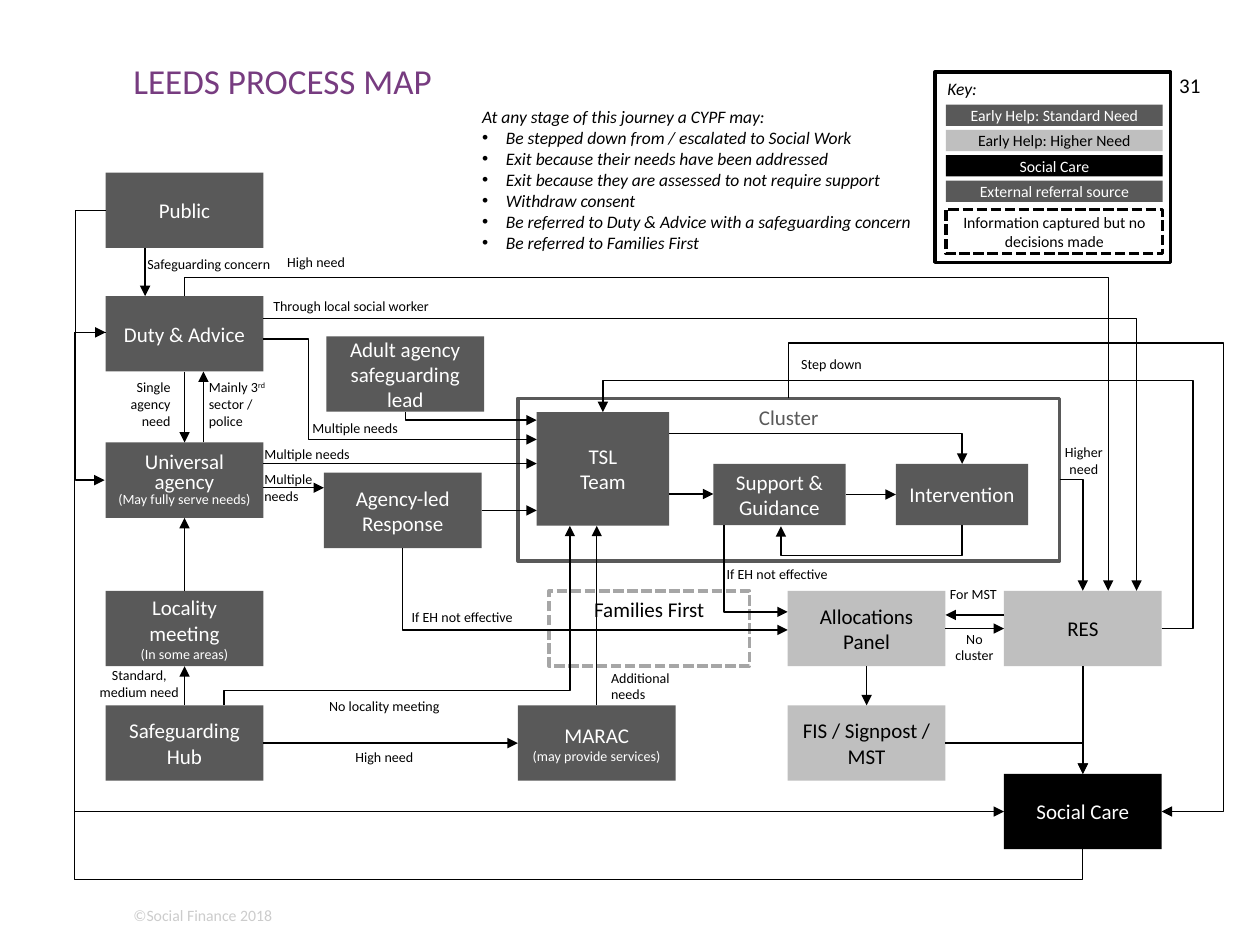
from dataclasses import dataclass
from lxml.etree import SubElement
from pptx import Presentation
from pptx.dml.color import RGBColor
from pptx.enum.dml import MSO_LINE
from pptx.enum.shapes import MSO_CONNECTOR, MSO_SHAPE
from pptx.enum.text import MSO_ANCHOR, PP_ALIGN
from pptx.oxml.ns import qn
from pptx.util import Cm, Pt


@dataclass(frozen=True)
class Theme:
    font: str = "Calibri"
    black: str = "000000"
    white: str = "FFFFFF"
    dark: str = "595959"
    light: str = "BFBFBF"
    dash: str = "A6A6A6"
    purple: str = "773C80"
    faint: str = "CCCCCC"
    head: int = 20
    body: int = 12
    note: int = 10
    key: int = 9
    small: int = 8
    rule: float = 2
    thin: float = 0.75


T = Theme()
LEFT, MID, RIGHT = PP_ALIGN.LEFT, PP_ALIGN.CENTER, PP_ALIGN.RIGHT
TOP, CENTRE = MSO_ANCHOR.TOP, MSO_ANCHOR.MIDDLE


def rgb(code):
    return RGBColor.from_string(code)


def style(para, size, color, italic=None):
    for run in para.runs:
        font = run.font
        font.name, font.size, font.italic = T.font, Pt(size), italic
        font.color.rgb = rgb(color)


def write(shape, text, size, color, align=MID, anchor=CENTRE, pad=None, italic=None):
    frame = shape.text_frame
    frame.text = text
    frame.word_wrap = True
    frame.vertical_anchor = anchor
    if pad is not None:
        frame.margin_left = frame.margin_right = Cm(pad)
    if pad == 0:
        frame.margin_top = frame.margin_bottom = 0
    for para in frame.paragraphs:
        para.alignment = align
        style(para, size, color, italic)
    return frame


def label(slide, box, text, size, color=T.black, **kw):
    shape = slide.shapes.add_textbox(*map(Cm, box))
    return write(shape, text, size, color, **kw)


def block(slide, box, text, size=T.body, fill=None, line=None, dash=False, color=None, **kw):
    shape = slide.shapes.add_shape(MSO_SHAPE.RECTANGLE, *map(Cm, box))
    shape.shadow.inherit = False
    if fill:
        shape.fill.solid()
        shape.fill.fore_color.rgb = rgb(fill)
    else:
        shape.fill.background()
    if line:
        shape.line.color.rgb = rgb(line)
        shape.line.width = Pt(T.rule)
        if dash:
            shape.line.dash_style = MSO_LINE.SQUARE_DOT
    else:
        shape.line.fill.background()
    ink = color or (T.white if fill in (T.dark, T.black) else T.black)
    return write(shape, text, size, ink, **kw)


def point(box, side, part):
    """Spot on a side of the box, part of the way along it."""
    x, y, w, h = box
    if side in "lr":
        return x + w * (side == "r"), y + h * part
    return x + w * part, y + h * (side == "b")


def link(slide, start, end, flat, lanes):
    """Arrow from start to end; lanes are the free positions of its bends."""
    (x, y), (u, v) = start, end
    if lanes is None:
        u, v = (u, y) if flat else (x, v)
        line = slide.shapes.add_connector(MSO_CONNECTOR.STRAIGHT, *map(Cm, (x, y, u, v)))
    else:
        dx, dy = u - x or -0.02, v - y or 0.02
        ends, turn = (x, y, x + dx, y + dy), 0
        if not flat:  # a vertical start needs a quarter turn about the centre
            cx, cy = x + dx / 2, y + dy / 2
            sign, turn = (-1, 270) if dx > 0 else (1, 90)
            a, b = sign * dy / 2, -sign * dx / 2
            ends = (cx - a, cy - b, cx + a, cy + b)
        line = slide.shapes.add_connector(MSO_CONNECTOR.ELBOW, *map(Cm, ends))
        props = line._element.spPr
        if turn:
            props.find(qn("a:xfrm")).set("rot", str(turn * 60000))
        geom = props.find(qn("a:prstGeom"))
        geom.set("prst", f"bentConnector{2 + len(lanes)}")
        guides = geom.find(qn("a:avLst"))
        if guides is None:
            guides = SubElement(geom, qn("a:avLst"))
        axes = [(x, dx), (y, dy)] if flat else [(y, dy), (x, dx)]
        for i, (lane, (base, span)) in enumerate(zip(lanes, axes), 1):
            ratio = round((lane - base) / span * 100000)
            SubElement(guides, qn("a:gd"), name=f"adj{i}", fmla=f"val {ratio}")
    line.line.color.rgb = rgb(T.black)
    line.line.width = Pt(T.thin)
    SubElement(line.line._get_or_add_ln(), qn("a:tailEnd"), type="triangle")
    SubElement(line._element.spPr, qn("a:effectLst"))


# Process map: name -> left, top, text, small second line
W, H = 3.18, 1.52
NODES = {
    "hub": (0.63, 10.74, "Safeguarding Hub", ""),
    "marac": (8.94, 10.74, "MARAC", "(may provide services)"),
    "duty": (0.63, 2.49, "Duty & Advice", ""),
    "agency": (5.03, 6.05, "Agency-led Response", ""),
    "local": (0.63, 8.43, "Locality meeting", "(In some areas)"),
    "panel": (14.38, 8.43, "Allocations Panel", ""),
    "fis": (14.38, 10.74, "FIS / Signpost / MST", ""),
    "uni": (0.63, 5.44, "Universal agency", "(May fully serve needs)"),
    "res": (18.74, 8.43, "RES", ""),
    "adult": (5.08, 3.3, "Adult agency safeguarding lead", ""),
    "public": (0.63, 0, "Public", ""),
    "care": (18.74, 12.12, "Social Care", ""),
}
FILLS = {"panel": T.light, "fis": T.light, "res": T.light, "care": T.black}
TEAMS = {
    "tsl": (9.32, 4.83, 2.67, 2.29, "TSL\nTeam"),
    "guide": (12.88, 5.87, 2.67, 1.24, "Support & Guidance"),
    "act": (16.56, 5.87, 2.67, 1.24, "Intervention"),
}
# From, side, part along it, to, side, part, lanes (None for a straight arrow)
LINKS = [
    ("duty", "b", 0.5, "uni", "t", 0.5, None), ("uni", "r", 0.28, "tsl", "l", 0.5, None),
    ("local", "t", 0.5, "uni", "b", 0.5, None), ("hub", "t", 0.5, "local", "b", 0.5, None),
    ("hub", "r", 0.5, "marac", "l", 0.5, None), ("panel", "b", 0.5, "fis", "t", 0.5, None),
    ("panel", "r", 0.5, "res", "l", 0.5, None), ("public", "b", 0.25, "duty", "t", 0.25, None),
    ("uni", "t", 0.62, "duty", "b", 0.62, None), ("tsl", "r", 0.72, "guide", "l", 0.5, None),
    ("guide", "r", 0.5, "act", "l", 0.5, None), ("res", "l", 0.32, "panel", "r", 0.32, None),
    ("uni", "r", 0.6, "agency", "l", 0.2, None), ("marac", "t", 0.5, "tsl", "b", 0.46, None),
    ("agency", "r", 0.5, "tsl", "l", 0.87, None), ("res", "b", 0.5, "care", "t", 0.5, None),
    ("tsl", "r", 0.19, "act", "t", 0.5, ()), ("act", "b", 0.5, "guide", "b", 0.51, (7.72,)),
    ("duty", "t", 0.5, "res", "t", 0.66, (2.11,)), ("cluster", "r", 0.5, "res", "t", 0.5, ()),
    ("duty", "r", 0.57, "tsl", "l", 0.24, (4.72,)), ("adult", "b", 0.5, "tsl", "l", 0.07, ()),
    ("agency", "b", 0.5, "panel", "l", 0.52, ()), ("hub", "t", 0.75, "tsl", "b", 0.25, (10.44,)),
    ("guide", "b", 0.08, "panel", "l", 0.28, ()), ("res", "r", 0.5, "tsl", "t", 0.5, (22.55, 4.19)),
    ("public", "l", 0.5, "uni", "l", 0.5, (0.02,)), ("duty", "r", 0.3, "res", "t", 0.84, ()),
    ("duty", "l", 0.48, "care", "l", 0.5, (0,)), ("cluster", "t", 0.5, "care", "r", 0.5, (3.43, 23.16)),
    ("care", "b", 0.5, "duty", "l", 0.48, (14.25, 0)), ("fis", "r", 0.5, "care", "t", 0.5, ()),
]
LABELS = [
    (4.14, 11.53, 4.22, MID, "High need"), (4.14, 10.52, 4.22, MID, "No locality meeting"),
    (0.23, 10.06, 2.16, MID, "Standard, medium need"), (6.55, 8.71, 4.22, LEFT, "If EH not effective"),
    (12.9, 7.85, 4.22, LEFT, "If EH not effective"), (14.4, 3.62, 4.22, LEFT, "Step down"),
    (0.46, 4.42, 1.73, RIGHT, "Single agency need"), (17.42, 9.32, 1.45, MID, "No cluster"),
    (17.4, 8.25, 1.45, MID, "For MST"), (19.46, 5.56, 1.78, MID, "Higher need"),
    (4.04, 1.57, 3.07, LEFT, "High need"), (3.58, 5.44, 2.41, LEFT, "Multiple needs"),
    (3.58, 6.1, 1.55, LEFT, "Multiple needs"), (1.22, 1.6, 3.07, LEFT, "Safeguarding concern"),
    (4.55, 4.9, 2.41, LEFT, "Multiple needs"), (10.57, 10.11, 2.16, LEFT, "Additional needs"),
    (3.76, 2.45, 4.22, LEFT, "Through local social worker"),
]


def flow(slide, left, top):
    def place(x, y, w, h):
        return left + x, top + y, w, h

    # Outlined groups
    spots = {"cluster": place(8.94, 4.55, 10.92, 3.28)}
    block(slide, place(9.57, 8.43, 4.04, H), "Families First", line=T.dash, dash=True, anchor=TOP)
    block(slide, spots["cluster"], "Cluster", line=T.dark, color=T.dark, anchor=TOP)
    # Steps
    for name, (x, y, text, extra) in NODES.items():
        spots[name] = place(x, y, W, H)
        whole = f"{text}\n{extra}" if extra else text
        frame = block(slide, spots[name], whole, fill=FILLS.get(name, T.dark))
        if extra:
            frame.paragraphs[1].runs[0].font.size = Pt(T.small)
        if name == "uni":
            for para in frame.paragraphs:
                para.line_spacing = 0.8
    for name, (x, y, w, h, text) in TEAMS.items():
        spots[name] = place(x, y, w, h)
        block(slide, spots[name], text, fill=T.dark, pad=0.1)
    # Arrows
    for one, side, part, two, edge, share, lanes in LINKS:
        if lanes:
            shift = (left, top) if side in "lr" else (top, left)
            lanes = [lane + move for lane, move in zip(lanes, shift)]
        start, end = point(spots[one], side, part), point(spots[two], edge, share)
        link(slide, start, end, side in "lr", lanes)
    # Arrow labels
    for x, y, w, align, text in LABELS:
        label(slide, place(x, y, w, 0.48), text, T.small, align=align)
    frame = label(slide, place(2.46, 4.42, 1.73, 0.48), "Mainly 3", T.small, align=LEFT)
    para = frame.paragraphs[0]
    for text in ("rd", " sector / police"):
        para.add_run().text = text
    style(para, T.small, T.black)
    para.runs[1].font._element.set("baseline", "30000")


def notes(slide, box):
    lines = ["At any stage of this journey a CYPF may:",
             "Be stepped down from / escalated to Social Work",
             "Exit because their needs have been addressed",
             "Exit because they are assessed to not require support", "Withdraw consent",
             "Be referred to Duty & Advice with a safeguarding concern", "Be referred to Families First"]
    frame = label(slide, box, "\n".join(lines), T.note, align=LEFT, italic=True)
    for para in frame.paragraphs[1:]:
        props = para._p.get_or_add_pPr()
        props.set("marL", str(Cm(0.48)))
        props.set("indent", str(-Cm(0.48)))
        SubElement(props, qn("a:buFont"), typeface="Arial")
        SubElement(props, qn("a:buChar"), char="•")


def legend(slide, box):
    x, y = box[:2]
    block(slide, box, "Key:", T.note, T.white, T.black, align=LEFT, anchor=TOP, italic=True)
    bars = [("Early Help: Standard Need", T.dark), ("Early Help: Higher Need", T.light),
            ("Social Care", T.black), ("External referral source", T.dark)]
    for i, (text, fill) in enumerate(bars):
        block(slide, (x + 0.22, y + 0.66 + 0.51 * i, 4.37, 0.43), text, T.key, fill)
    block(slide, (x + 0.22, y + 2.77, 4.37, 0.89), "Information captured but no decisions made",
          T.key, T.white, T.black, dash=True)


def header(slide, box):
    title = slide.shapes.title
    title.left, title.top, title.width, title.height = map(Cm, box)
    write(title, "LEEDS PROCESS MAP", T.head, T.purple, LEFT, TOP, 0)
    label(slide, (box[0] + 20.8, box[1] + 0.28, 0.71, 1.02), "31", T.body,
          align=RIGHT, anchor=TOP, pad=0)


def footer(slide, box):
    label(slide, box, "©Social Finance 2018", T.key, T.faint, align=LEFT, anchor=TOP, pad=0)


def main():
    deck = Presentation()
    deck.slide_width, deck.slide_height = Cm(25.4), Cm(19.05)
    slide = deck.slides.add_slide(deck.slide_layouts[5])
    footer(slide, (2.69, 18.26, 21.44, 0.38))
    header(slide, (2.69, 1.19, 20.27, 1.88))
    flow(slide, 1.5, 3.48)
    notes(slide, (9.47, 2.08, 9.7, 3.07))
    legend(slide, (18.85, 1.45, 4.75, 3.84))
    deck.save("out.pptx")


if __name__ == "__main__":
    main()
